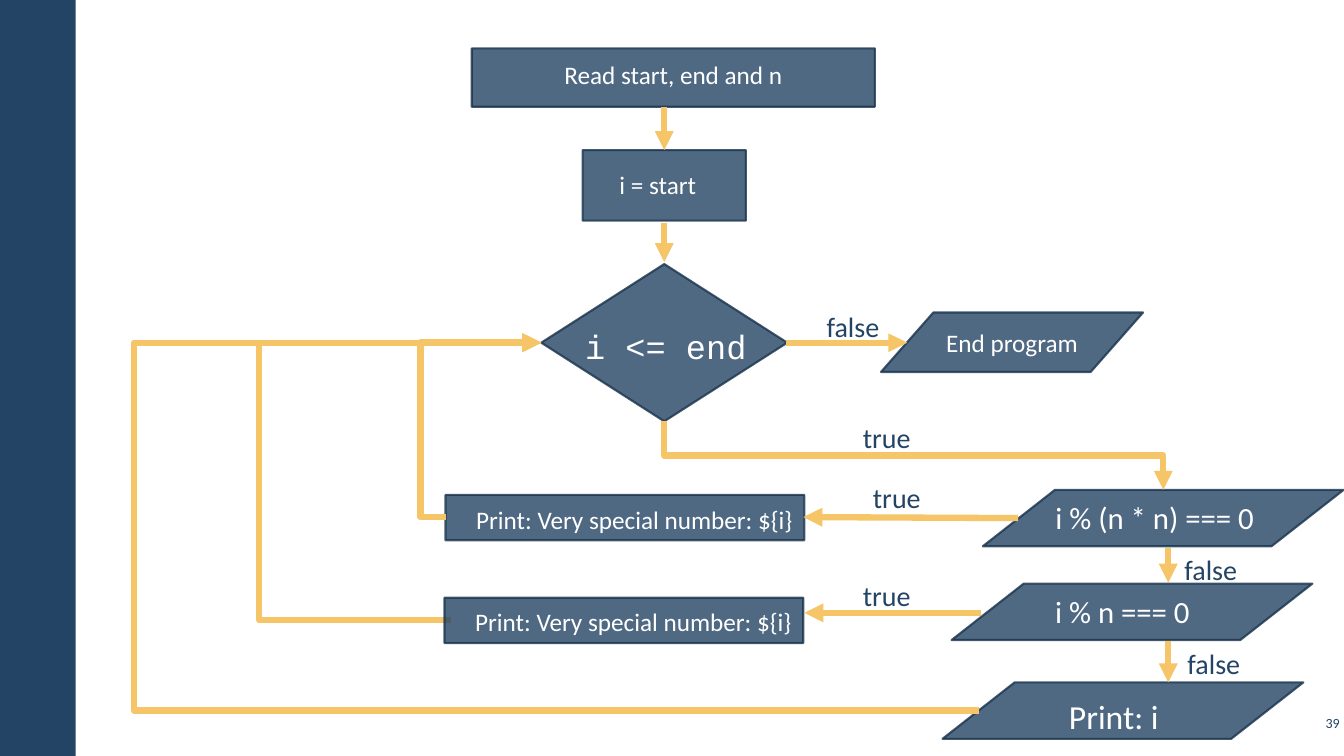
from dataclasses import dataclass
from typing import Optional

from lxml.etree import SubElement
from pptx import Presentation
from pptx.dml.color import RGBColor
from pptx.enum.shapes import MSO_CONNECTOR as Link, MSO_SHAPE as Outline
from pptx.enum.text import MSO_ANCHOR as Anchor, MSO_AUTO_SIZE as AutoSize, PP_ALIGN as Align
from pptx.oxml.ns import qn
from pptx.util import Emu, Inches, Pt

SLIDE_W, SLIDE_H = Inches(13.333), Inches(7.5)
ROWS = 75
CELL = SLIDE_H / ROWS  # square cells, 75 rows by about 133 columns
COLOURS = {"navy": "234465", "edge": "1A334C", "arrow": "F5C567", "white": "FFFFFF"}

SPINE = 65.9
CHECKS = 115.9
LOOP_ROW = 34
LOOP_END = 53.7
VERY_SPECIAL = "Print: Very special number: ${i}"

Box = tuple[float, float, float, float]
Point = tuple[float, float]


@dataclass(frozen=True)
class Caption:
    text: str
    box: Box
    size: int = 18
    font: str = "Calibri"
    colour: str = "white"
    align: Align = Align.CENTER
    roomy: bool = False
    spacing: float = 1.0
    wrap: bool = True


@dataclass(frozen=True)
class Step:
    outline: Outline
    box: Box
    caption: Optional[Caption] = None
    inner_text: str = ""


@dataclass(frozen=True)
class Arrow:
    start: Point
    end: Point
    turn_column: Optional[float] = None
    quarter_turned: bool = False
    behind_steps: bool = False


def print_step(left: float, top: float) -> Step:
    return Step(Outline.RECTANGLE, (left, top, 35.6, 4.5),
                Caption(VERY_SPECIAL, (left + 0.6, top - 0.6, 36.3, 5.7), roomy=True, spacing=1.1))


def check_step(left: float, top: float, caption: Caption) -> Step:
    return Step(Outline.FLOWCHART_DATA, (left, top, 35.8, 5.6), caption)


def answer(text: str, left: float, top: float) -> Caption:
    width = 8.5 if text == "false" else 8
    return Caption(text, (left, top, width, 5.9), 20, colour="navy", align=Align.LEFT,
                   roomy=True, spacing=1.1, wrap=False)


STEPS = [
    Step(Outline.RECTANGLE, (46.8, 4.8, 40, 5.8),
         Caption("Read start, end and n", (46.1, 5.4, 41.4, 4))),
    Step(Outline.RECTANGLE, (57.8, 14.9, 16.2, 7),
         Caption("i = start", (57.7, 15.3, 15.1, 5.7), roomy=True, spacing=1.1)),
    Step(Outline.FLOWCHART_DECISION, (53.7, 26.2, 24.4, 15.6),
         Caption("i <= end", (54.5, 31.8, 23.1, 5), 24, "Courier New")),
    Step(Outline.FLOWCHART_DATA, (87.4, 31, 26, 5.9), inner_text="End program"),
    check_step(97.5, 48.6, Caption("i % (n * n) === 0", (98.8, 49, 31.5, 4.7), 22, wrap=False)),
    check_step(94.4, 57.9, Caption("i % n === 0", (103.6, 58.3, 15.5, 4.7), 22, wrap=False)),
    check_step(93.5, 67.7, Caption("Print: i", (105, 68.1, 11, 5.5), 24, spacing=1.1, wrap=False)),
    print_step(44.2, 49.1),
    print_step(44.1, 59.3),
]

ARROWS = [
    Arrow((SPINE, 10.6), (SPINE, 14.9)),
    Arrow((SPINE, 22.1), (SPINE, 26)),
    Arrow((78, LOOP_ROW), (90, LOOP_ROW)),
    Arrow((SPINE, 41.8), (115.4, 48.6), quarter_turned=True),
    Arrow((CHECKS, 54.4), (CHECKS, 57.8)),
    Arrow((CHECKS, 63.6), (CHECKS, 67.7)),
    Arrow((101, 51.4), (79.7, 51.3)),
    Arrow((97.3, 60.8), (79.8, 60.8)),
    Arrow((44.2, 51.3), (LOOP_END, LOOP_ROW), turn_column=41.7),
    Arrow((44.7, 61.5), (LOOP_END, LOOP_ROW), turn_column=25.7, behind_steps=True),
    Arrow((97.1, 70.5), (LOOP_END, LOOP_ROW), turn_column=13.3),
]

ANSWERS = [
    answer("false", 80.4, 29.2),
    answer("true", 84, 40.2),
    answer("true", 85, 46.1),
    answer("true", 84, 55.9),
    answer("false", 115.9, 53.3),
    answer("false", 116.2, 62.6),
]


def cells(*lengths: float) -> list[Emu]:
    return [Emu(round(length * CELL)) for length in lengths]


def rgb(name: str) -> RGBColor:
    return RGBColor.from_string(COLOURS[name])


def style_paragraph(paragraph, text: str, size: int, font: str, colour: str, align: Align) -> None:
    paragraph.text = text
    paragraph.alignment = align
    paragraph.font.size = Pt(size)
    paragraph.font.name = font
    paragraph.font.color.rgb = rgb(colour)


def draw_caption(shapes, caption: Caption) -> None:
    frame = shapes.add_textbox(*cells(*caption.box)).text_frame
    frame.word_wrap = caption.wrap
    frame.auto_size = AutoSize.SHAPE_TO_FIT_TEXT
    if caption.roomy:
        frame.margin_left = frame.margin_right = Inches(0.16)
        frame.margin_top = frame.margin_bottom = Inches(0.12)
    paragraph = frame.paragraphs[0]
    style_paragraph(paragraph, caption.text, caption.size, caption.font, caption.colour, caption.align)
    paragraph.line_spacing = caption.spacing


def draw_step(shapes, step: Step) -> None:
    if step.caption:
        shapes = shapes.add_group_shape().shapes
    body = shapes.add_shape(step.outline, *cells(*step.box))
    body.shadow.inherit = False
    body.fill.solid()
    body.fill.fore_color.rgb = rgb("navy")
    body.line.color.rgb = rgb("edge")
    body.line.width = Pt(1.5)
    for colour in body._element.spPr.iter(qn("a:srgbClr")):
        SubElement(colour, qn("a:alpha"), val="80000")
    if step.inner_text:
        body.text_frame.vertical_anchor = Anchor.MIDDLE
        style_paragraph(body.text_frame.paragraphs[0], step.inner_text, 18, "Calibri", "white", Align.CENTER)
    if step.caption:
        draw_caption(shapes, step.caption)


def draw_arrow(shapes, arrow: Arrow) -> None:
    (x1, y1), (x2, y2) = arrow.start, arrow.end
    bent = arrow.quarter_turned or arrow.turn_column is not None
    ends = (x1, y1, x2, y2)
    if arrow.quarter_turned:
        mid_x, mid_y = (x1 + x2) / 2, (y1 + y2) / 2
        half_w, half_h = (y2 - y1) / 2, (x2 - x1) / 2
        ends = (mid_x + half_w, mid_y - half_h, mid_x - half_w, mid_y + half_h)
    connector = shapes.add_connector(Link.ELBOW if bent else Link.STRAIGHT, *cells(*ends))
    connector.line.color.rgb = rgb("arrow")
    connector.line.width = Pt(4.5)
    properties = connector._element.spPr
    if arrow.quarter_turned:
        properties.find(qn("a:xfrm")).set("rot", str(270 * 60000))
    if arrow.turn_column is not None:
        share = round((arrow.turn_column - x1) / (x2 - x1) * 100000)
        guides = properties.find(qn("a:prstGeom")).find(qn("a:avLst"))
        SubElement(guides, qn("a:gd"), name="adj1", fmla=f"val {share}")
    SubElement(properties.find(qn("a:ln")), qn("a:tailEnd"), type="triangle")
    SubElement(properties, qn("a:effectLst"))


def draw_frame(shapes) -> None:
    """Draw the side band and the page number."""
    band = shapes.add_shape(Outline.RECTANGLE, *cells(0, 0, 7.5, ROWS))
    band.shadow.inherit = False
    band.fill.solid()
    band.fill.fore_color.rgb = rgb("navy")
    band.line.fill.background()
    number = shapes.add_textbox(*cells(128.6, 70, 4.7, 3.4)).text_frame
    number.word_wrap = True
    number.vertical_anchor = Anchor.MIDDLE
    number.margin_left = number.margin_right = number.margin_top = number.margin_bottom = Inches(0.04)
    style_paragraph(number.paragraphs[0], "39", 10, "Calibri", "navy", Align.RIGHT)


def main() -> None:
    deck = Presentation()
    deck.slide_width, deck.slide_height = SLIDE_W, SLIDE_H
    shapes = deck.slides.add_slide(deck.slide_layouts[6]).shapes
    draw_frame(shapes)
    for arrow in (a for a in ARROWS if a.behind_steps):
        draw_arrow(shapes, arrow)
    for step in STEPS:
        draw_step(shapes, step)
    for arrow in (a for a in ARROWS if not a.behind_steps):
        draw_arrow(shapes, arrow)
    for caption in ANSWERS:
        draw_caption(shapes, caption)
    deck.save("out.pptx")


if __name__ == "__main__":
    main()
